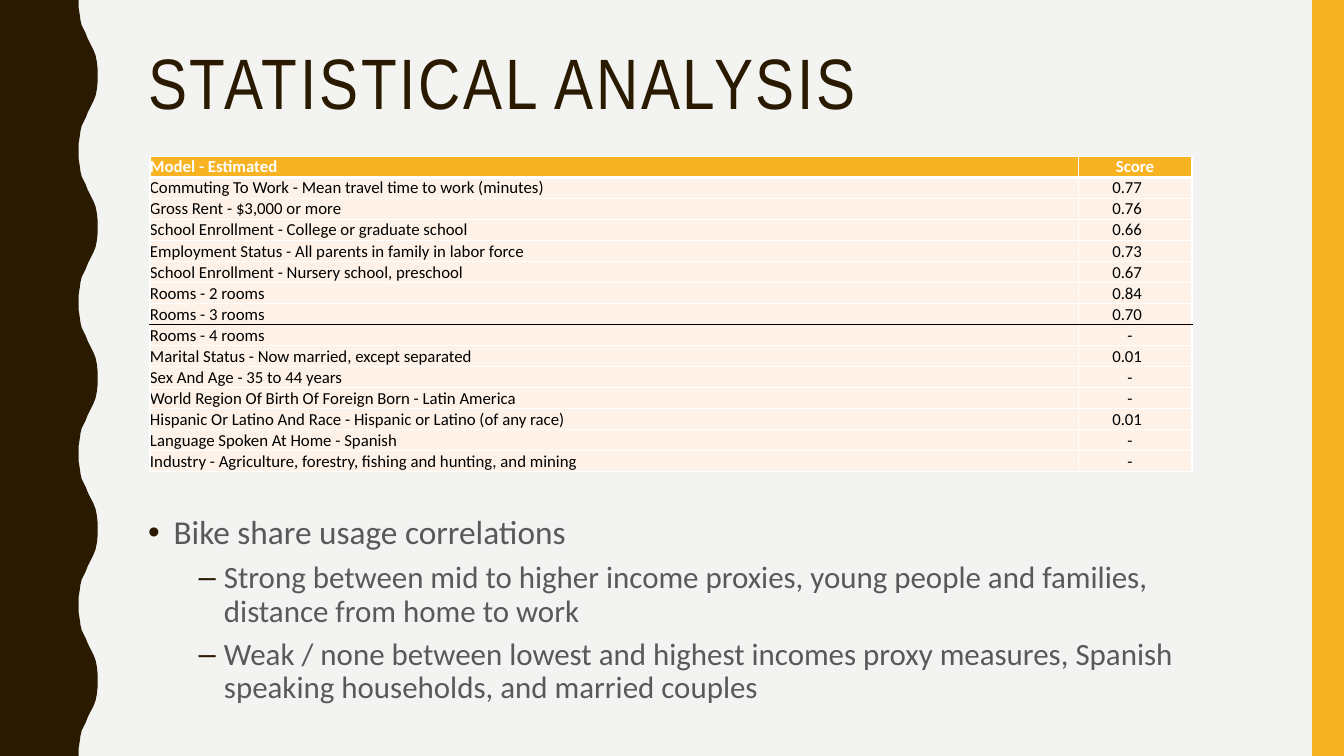
from dataclasses import dataclass

from lxml import etree
from pptx import Presentation
from pptx.dml.color import RGBColor
from pptx.enum.shapes import MSO_SHAPE
from pptx.enum.text import MSO_ANCHOR, MSO_AUTO_SIZE, PP_ALIGN
from pptx.oxml.ns import qn
from pptx.util import Cm, Pt

RECTANGLE = MSO_SHAPE.RECTANGLE
TOP, BOTTOM = MSO_ANCHOR.TOP, MSO_ANCHOR.BOTTOM
LEFT, CENTER = PP_ALIGN.LEFT, PP_ALIGN.CENTER
NO_AUTOFIT = MSO_AUTO_SIZE.NONE

SLIDE_WIDTH, SLIDE_HEIGHT = 33.87, 19.05
WAVE_PERIOD = 3.81
HALF_WAVE = [
    (1.98, 0), (1.98, 0.18), (2.01, 0.36), (2.03, 0.51), (2.06, 0.64),
    (2.11, 0.74), (2.16, 0.84), (2.21, 0.97), (2.26, 1.07), (2.31, 1.17),
    (2.36, 1.27), (2.41, 1.4), (2.44, 1.55), (2.46, 1.73), (2.46, 1.9),
]

HEADER = ("Model - Estimated", "Score")
STRONG_SCORES = [
    ("Commuting To Work - Mean travel time to work (minutes)", "0.77"),
    ("Gross Rent - $3,000 or more", "0.76"),
    ("School Enrollment - College or graduate school", "0.66"),
    ("Employment Status - All parents in family in labor force", "0.73"),
    ("School Enrollment - Nursery school, preschool", "0.67"),
    ("Rooms - 2 rooms", "0.84"),
    ("Rooms - 3 rooms", "0.70"),
]
WEAK_SCORES = [
    ("Rooms - 4 rooms", "-"),
    ("Marital Status - Now married, except separated", "0.01"),
    ("Sex And Age - 35 to 44 years", "-"),
    ("World Region Of Birth Of Foreign Born - Latin America", "-"),
    ("Hispanic Or Latino And Race - Hispanic or Latino (of any race)", "0.01"),
    ("Language Spoken At Home - Spanish", "-"),
    ("Industry - Agriculture, forestry, fishing and hunting, and mining", "-"),
]
FINDINGS = [
    (0, "Bike share usage correlations"),
    (1, "Strong between mid to higher income proxies, young people and "
        "families, distance from home to work"),
    (1, "Weak / none between lowest and highest incomes proxy measures, "
        "Spanish speaking households, and married couples"),
]


@dataclass(frozen=True)
class Theme:
    background: str = "F3F3F2"
    dark: str = "2A1A00"
    accent: str = "F8B323"
    row: str = "FEF2E8"
    white: str = "FFFFFF"
    black: str = "000000"
    body: str = "595959"
    title_font: str = "Arial Narrow"
    body_font: str = "Calibri"
    title_size: float = 51
    list_sizes: tuple = (23.8, 22.1)
    table_size: float = 12


class SlideBuilder:
    def __init__(self, slide, theme):
        self.slide = slide
        self.theme = theme

    def fill(self, target, color):
        target.fill.solid()
        target.fill.fore_color.rgb = RGBColor.from_string(color)

    def format_runs(self, paragraph, font_name, size, color, bold=False):
        for run in paragraph.runs:
            run.font.name = font_name
            run.font.size = Pt(size)
            run.font.bold = bold
            run.font.color.rgb = RGBColor.from_string(color)

    def plain(self, shape, color):
        self.fill(shape, color)
        shape.line.fill.background()
        shape.shadow.inherit = False

    def background(self):
        self.fill(self.slide.background, self.theme.background)

    def wavy_band(self):
        mirrored = [(x, WAVE_PERIOD - y) for x, y in reversed(HALF_WAVE)]
        periods = round(SLIDE_HEIGHT / WAVE_PERIOD)
        edge = [(Cm(x), Cm(y + index * WAVE_PERIOD))
                for index in range(periods) for x, y in HALF_WAVE + mirrored]
        builder = self.slide.shapes.build_freeform(0, 0, scale=1.0)
        builder.add_line_segments(edge + [(0, Cm(SLIDE_HEIGHT))], close=True)
        self.plain(builder.convert_to_shape(), self.theme.dark)

    def side_bar(self, width):
        bar = self.slide.shapes.add_shape(
            RECTANGLE, Cm(SLIDE_WIDTH - width), 0, Cm(width), Cm(SLIDE_HEIGHT))
        self.plain(bar, self.theme.accent)

    def place(self, shape, left, top, width, height):
        shape.left, shape.top = Cm(left), Cm(top)
        shape.width, shape.height = Cm(width), Cm(height)
        frame = shape.text_frame
        frame.word_wrap = True
        frame.auto_size = NO_AUTOFIT
        frame.vertical_anchor = TOP
        return frame

    def title(self, text, *box):
        frame = self.place(self.slide.shapes.title, *box)
        frame.text = text
        paragraph = frame.paragraphs[0]
        paragraph.alignment = LEFT
        paragraph.line_spacing = 0.9
        self.format_runs(paragraph, self.theme.title_font,
                         self.theme.title_size, self.theme.dark)
        for run in paragraph.runs:
            run.font._element.set("spc", "200")

    def bullet(self, paragraph, character, indent):
        properties = paragraph._p.get_or_add_pPr()
        properties.set("marL", str(Cm(indent)))
        properties.set("indent", str(-Cm(0.64)))
        color = etree.SubElement(properties, qn("a:buClr"))
        etree.SubElement(color, qn("a:srgbClr"), val=self.theme.dark)
        etree.SubElement(properties, qn("a:buChar"), char=character)

    def bullet_list(self, items, *box):
        frame = self.place(self.slide.placeholders[1], *box)
        frame.text = "\n".join(text for _, text in items)
        for paragraph, (level, _) in zip(frame.paragraphs, items):
            paragraph.level = level
            paragraph.alignment = LEFT
            paragraph.line_spacing = 0.9
            paragraph.space_before = Pt(7)
            self.bullet(paragraph, "•–"[level], (0.64, 1.91)[level])
            self.format_runs(paragraph, self.theme.body_font,
                             self.theme.list_sizes[level], self.theme.body)

    def borders(self, cell, top, bottom):
        """Draw the cell's four borders; top and bottom are (colour, points)."""
        side = (self.theme.white, 1)
        properties = cell._tc.get_or_add_tcPr()
        for tag, (color, width) in zip(("lnL", "lnR", "lnT", "lnB"),
                                       (side, side, top, bottom)):
            line = etree.SubElement(properties, qn(f"a:{tag}"), w=str(Pt(width)))
            solid = etree.SubElement(line, qn("a:solidFill"))
            etree.SubElement(solid, qn("a:srgbClr"), val=color)

    def cell(self, cell, text, is_header, is_score):
        cell.text = text
        cell.vertical_anchor = BOTTOM
        cell.margin_left = cell.margin_right = 0
        cell.margin_top = cell.margin_bottom = 0
        paragraph = cell.text_frame.paragraphs[0]
        if is_score and is_header:
            paragraph.alignment = CENTER
        elif is_score:
            cell.margin_left = Cm(1.24 if text == "-" else 0.86)
        self.fill(cell, self.theme.accent if is_header else self.theme.row)
        self.format_runs(paragraph, self.theme.body_font, self.theme.table_size,
                         self.theme.white if is_header else self.theme.black,
                         bold=is_header)

    def score_table(self, header, strong, weak, left, top, widths, row_height):
        rows = [header] + strong + weak
        rules = [(self.theme.white, 1)] * (len(rows) + 1)
        rules[1] = (self.theme.white, 3)
        rules[1 + len(strong)] = (self.theme.black, 1)
        table = self.slide.shapes.add_table(
            len(rows), len(widths), Cm(left), Cm(top),
            Cm(sum(widths)), Cm(row_height * len(rows))).table
        table.horz_banding = False
        for column, width in zip(table.columns, widths):
            column.width = Cm(width)
        for row_index, texts in enumerate(rows):
            table.rows[row_index].height = Cm(row_height)
            for column_index, text in enumerate(texts):
                cell = table.cell(row_index, column_index)
                self.borders(cell, rules[row_index], rules[row_index + 1])
                self.cell(cell, text, row_index == 0, column_index == 1)


def main():
    presentation = Presentation()
    presentation.slide_width = Cm(SLIDE_WIDTH)
    presentation.slide_height = Cm(SLIDE_HEIGHT)
    slide = presentation.slides.add_slide(presentation.slide_layouts[1])
    builder = SlideBuilder(slide, Theme())
    builder.background()
    builder.wavy_band()
    builder.side_bar(0.8)
    builder.title("STATISTICAL ANALYSIS", 3.48, 1.07, 28.27, 4.14)
    builder.score_table(HEADER, STRONG_SCORES, WEAK_SCORES,
                        3.78, 3.94, (23.39, 2.87), 0.53)
    builder.bullet_list(FINDINGS, 3.48, 12.88, 28.27, 5.11)
    presentation.save("out.pptx")


if __name__ == "__main__":
    main()
